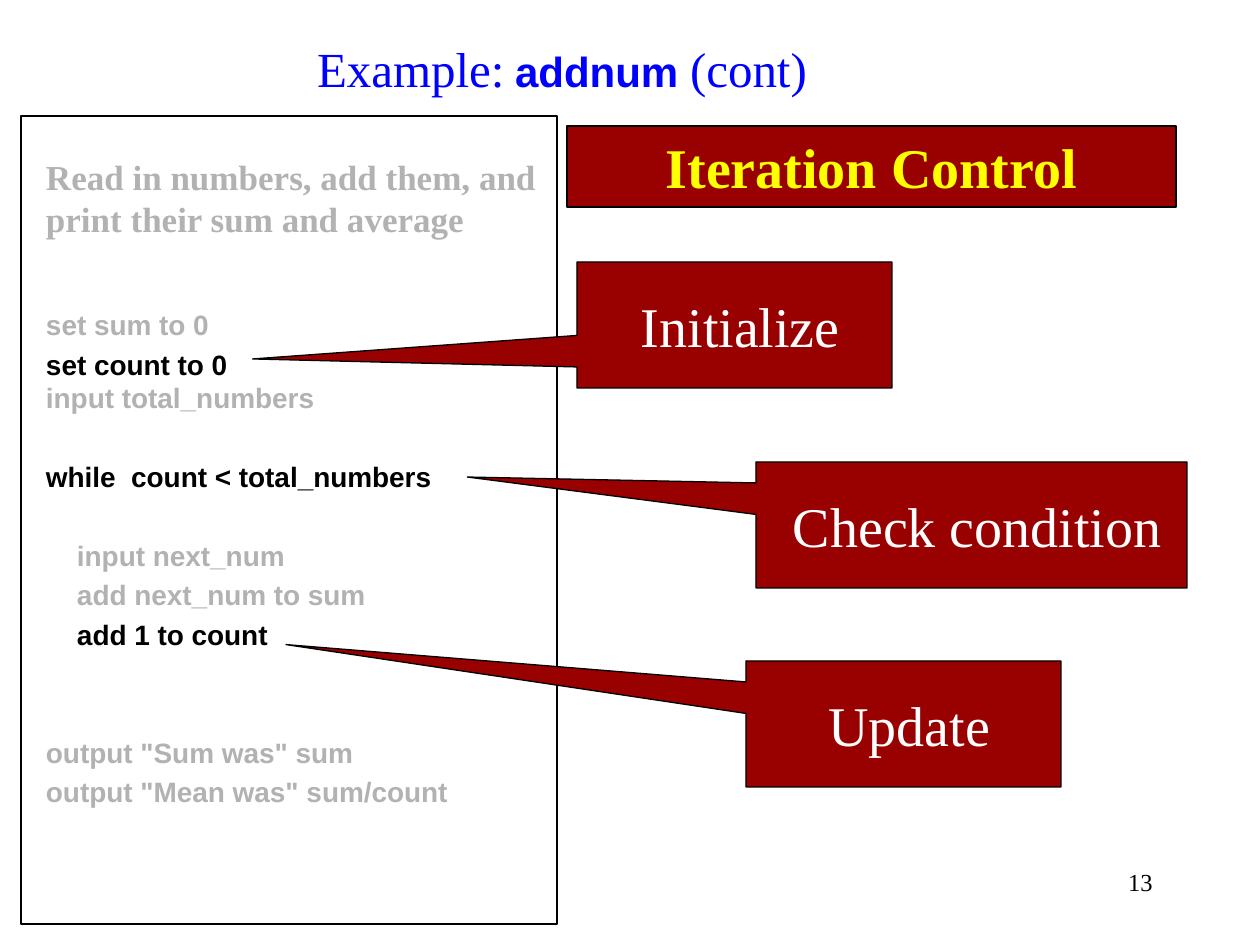
from pptx import Presentation
from pptx import util as u
from pptx.dml.color import RGBColor
from pptx.enum import shapes, text

PX = 914400 / 126
BLACK = RGBColor(0x00, 0x00, 0x00)
WHITE = RGBColor(0xFF, 0xFF, 0xFF)
GRAY = RGBColor(0xB2, 0xB2, 0xB2)
RED = RGBColor(0x99, 0x00, 0x00)
YELLOW = RGBColor(0xFF, 0xFF, 0x00)
BLUE = RGBColor(0x00, 0x00, 0xFF)
SERIF = "Times New Roman"
SANS = "Arial"


def px(*values):
    return [u.Emu(round(value * PX)) for value in values]


def add_run(paragraph, words, size, color, font=SERIF, bold=False):
    run = paragraph.add_run()
    run.text = words
    run.font.size = u.Pt(size)
    run.font.name = font
    run.font.bold = bold
    run.font.color.rgb = color


presentation = Presentation()
presentation.slide_width, presentation.slide_height = px(1260, 945)
slide = presentation.slides.add_slide(presentation.slide_layouts[6])

number = slide.shapes.add_textbox(*px(903, 861, 262, 63))
number.text_frame.word_wrap = True
paragraph = number.text_frame.paragraphs[0]
paragraph.alignment = text.PP_ALIGN.RIGHT
add_run(paragraph, "13", 14, BLACK)

code = slide.shapes.add_shape(shapes.MSO_SHAPE.RECTANGLE, *px(21, 116, 536, 808))
code.shadow.inherit = False
code.fill.background()
code.line.color.rgb = BLACK
code.line.width = u.Pt(0.75)
frame = code.text_frame
frame.word_wrap = True
frame.vertical_anchor = text.MSO_ANCHOR.TOP
frame.margin_left, frame.margin_top, frame.margin_right = px(25, 40, 13)

GAP = 3.2
LINE = 19.3
code_lines = [
    ("Read in numbers, add them, and", 0, 0, GRAY, 20),
    ("print their sum and average", 0, 0, GRAY, 20),
    ("set sum to 0", 2 * LINE, 0, GRAY, 16),
    ("set count to 0", GAP, 0, BLACK, 16),
    ("input total_numbers", 0, 0, GRAY, 16),
    ("while  count < total_numbers", LINE + 2 * GAP, 0, BLACK, 16),
    ("input next_num", LINE + 2 * GAP, 31, GRAY, 16),
    ("add next_num to sum", GAP, 31, GRAY, 16),
    ("add 1 to count", GAP, 31, BLACK, 16),
    ('output "Sum was" sum', 2 * LINE + 3 * GAP, 0, GRAY, 16),
    ('output "Mean was" sum/count', GAP, 0, GRAY, 16),
]
for index, (words, space, indent, color, size) in enumerate(code_lines):
    paragraph = frame.add_paragraph() if index else frame.paragraphs[0]
    paragraph.alignment = text.PP_ALIGN.LEFT
    paragraph.space_before = u.Pt(space)
    paragraph.line_spacing = u.Pt(LINE if size == 16 else 24)
    paragraph._p.get_or_add_pPr().set("marL", str(px(indent)[0]))
    add_run(paragraph, words, size, color, SERIF if size == 20 else SANS, True)

CALLOUT = shapes.MSO_SHAPE.RECTANGULAR_CALLOUT
BANNER = shapes.MSO_SHAPE.RECTANGLE
red_boxes = [
    (CALLOUT, "Initialize", (577, 262, 315, 126), (-1.53, 0.27)),
    (CALLOUT, "Check condition", (756, 462, 431, 126), (-1.17, -0.38)),
    (CALLOUT, "Update", (746, 661, 315, 126), (-1.96, -0.63)),
    (BANNER, "Iteration Control", (567, 126, 609, 81), ()),
]
for kind, words, place, pointer in red_boxes:
    shape = slide.shapes.add_shape(kind, *px(*place))
    shape.shadow.inherit = False
    shape.fill.solid()
    shape.fill.fore_color.rgb = RED
    shape.line.color.rgb = BLACK
    shape.line.width = u.Pt(0.75)
    for index, value in enumerate(pointer):
        shape.adjustments[index] = value
    frame = shape.text_frame
    frame.word_wrap = kind == BANNER
    frame.vertical_anchor = text.MSO_ANCHOR.MIDDLE
    if kind == CALLOUT:
        frame.margin_left, frame.margin_right = px(25, 13)
    paragraph = frame.paragraphs[0]
    paragraph.alignment = text.PP_ALIGN.CENTER
    add_run(paragraph, words, 32, YELLOW if kind == BANNER else WHITE, bold=kind == BANNER)

title = slide.shapes.add_textbox(*px(252, 32, 620, 72))
title.text_frame.word_wrap = True
paragraph = title.text_frame.paragraphs[0]
paragraph.alignment = text.PP_ALIGN.CENTER
add_run(paragraph, "Example:", 28, BLUE)
add_run(paragraph, " ", 24, BLUE)
add_run(paragraph, "addnum ", 24, BLUE, SANS, True)
add_run(paragraph, "(cont)", 28, BLUE)

presentation.save("out.pptx")
